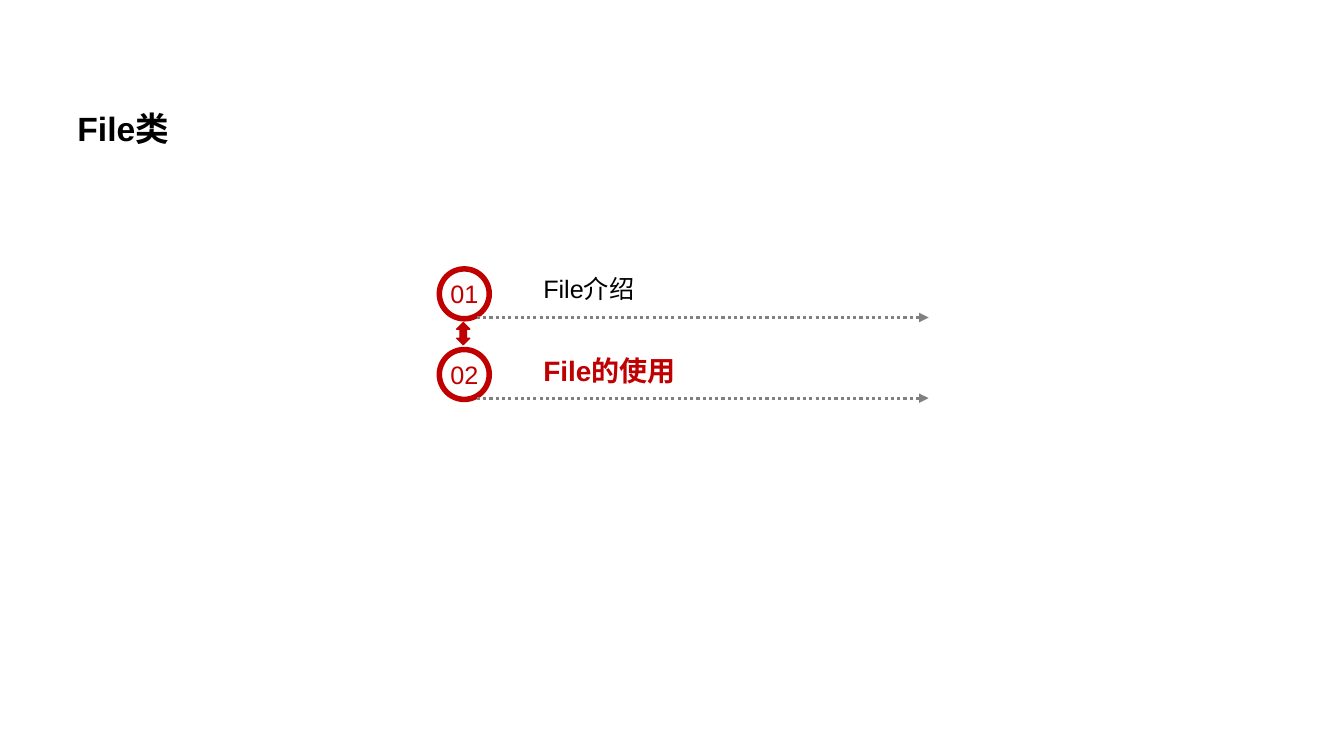
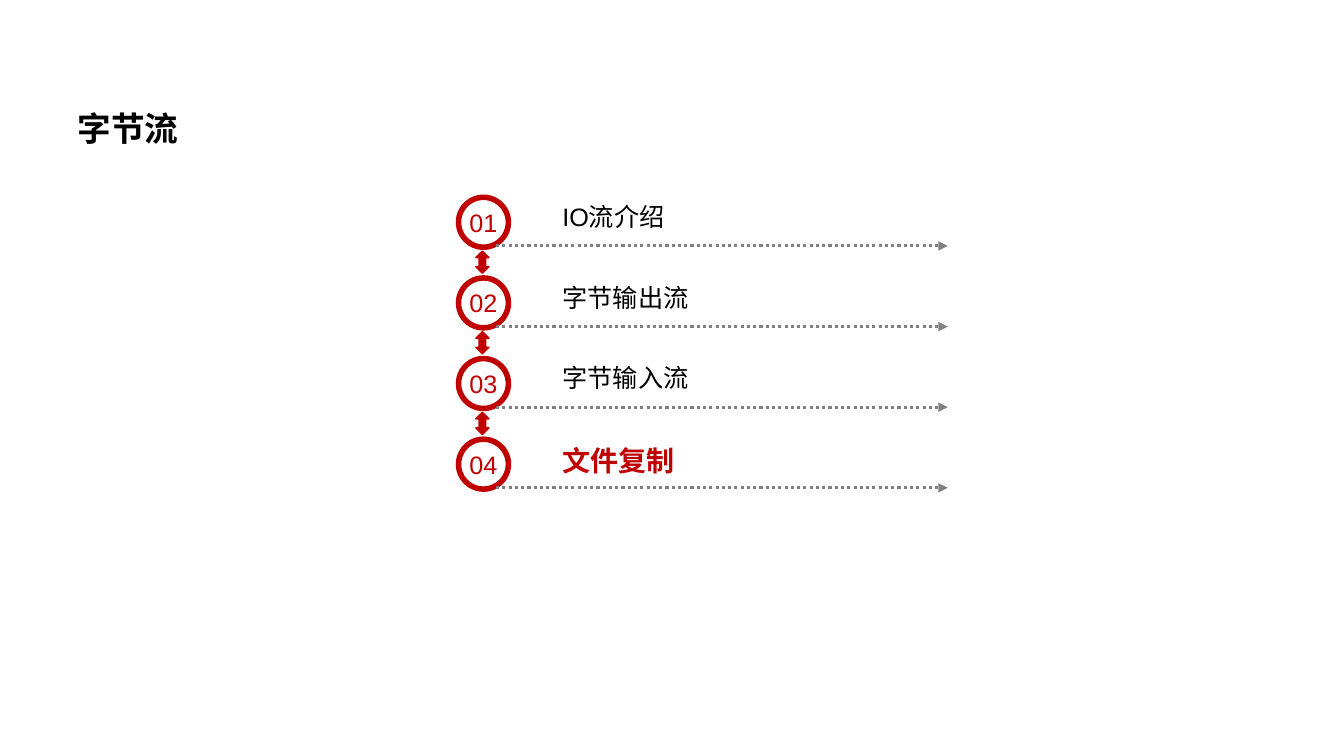
from lxml.etree import SubElement
from pptx import Presentation
from pptx.dml.color import RGBColor
from pptx.enum.dml import MSO_LINE
from pptx.enum.shapes import MSO_CONNECTOR, MSO_SHAPE
from pptx.enum.text import MSO_ANCHOR, PP_ALIGN
from pptx.oxml.ns import qn
from pptx.util import Inches, Pt

# Content: the last topic of each agenda is the current one
AGENDAS = [
    {"title": "File类", "left": 4.33, "top": 2.64,
     "topics": ["File介绍", "File的使用"]},
    {"title": "字节流", "left": 4.52, "top": 1.93,
     "topics": ["IO流介绍", "字节输出流", "字节输入流", "文件复制"]},
]

# Shared style
FONT = "Arial"
COLORS = {"accent": "C00000", "text": "000000", "rule": "808080", "back": "FFFFFF"}
RING, PITCH = 0.55, 0.8
ARROW_W, ARROW_H = 0.13, 0.22


def rgb(name):
    return RGBColor.from_string(COLORS[name])


def write(tf, text, size, color, bold=False):
    tf.text = text
    p = tf.paragraphs[0]
    font = p.runs[0].font
    font.name, font.size, font.bold = FONT, Pt(size), bold
    font.color.rgb = rgb(color)
    return p


def add_text(s, x, y, w, h, text, size, color, bold=False):
    tf = s.shapes.add_textbox(Inches(x), Inches(y), Inches(w), Inches(h)).text_frame
    tf.word_wrap = True
    return write(tf, text, size, color, bold)


def add_accent_shape(s, kind, x, y, w, h):
    sp = s.shapes.add_shape(kind, Inches(x), Inches(y), Inches(w), Inches(h))
    sp.shadow.inherit = False
    sp.fill.solid()
    sp.fill.fore_color.rgb = rgb("accent")
    return sp


def add_ring(s, x, y, number):
    sp = add_accent_shape(s, MSO_SHAPE.DONUT, x, y, RING, RING)
    sp.adjustments[0] = 0.1
    sp.line.fill.background()
    tf = sp.text_frame
    tf.margin_left = tf.margin_right = tf.margin_top = tf.margin_bottom = 0
    tf.word_wrap = False
    tf.vertical_anchor = MSO_ANCHOR.MIDDLE
    write(tf, f"{number:02}", 18, "accent").alignment = PP_ALIGN.CENTER


def add_link(s, x, y):
    sp = add_accent_shape(s, MSO_SHAPE.UP_DOWN_ARROW, x, y, ARROW_W, ARROW_H)
    sp.line.color.rgb = rgb("accent")
    sp.line.width = Pt(1)


def add_dotted_arrow(s, x1, x2, y):
    line = s.shapes.add_connector(
        MSO_CONNECTOR.STRAIGHT, Inches(x1), Inches(y), Inches(x2), Inches(y))
    line.line.color.rgb = rgb("rule")
    line.line.width = Pt(2.25)
    line.line.dash_style = MSO_LINE.ROUND_DOT
    SubElement(line.line._get_or_add_ln(), qn("a:tailEnd"), type="triangle")
    SubElement(line._element.spPr, qn("a:effectLst"))


def add_agenda(prs, title, left, top, topics):
    s = prs.slides.add_slide(prs.slide_layouts[6])
    s.background.fill.solid()
    s.background.fill.fore_color.rgb = rgb("back")
    add_text(s, 0.67, 0.82, 11.74, 1.11, title, 24, "text", True).line_spacing = 1.5

    for i, topic in enumerate(topics):
        y = top + i * PITCH
        current = i == len(topics) - 1
        add_ring(s, left, y, i + 1)
        add_dotted_arrow(s, left + 0.4, left + 4.88, y + 0.51)
        size, color = (20, "accent") if current else (18, "text")
        add_text(s, left + 0.96, y + 0.02, 3.96, 0.44, topic, size, color, current)
        if not current:
            add_link(s, left + 0.2, y + 0.56)


def main():
    prs = Presentation()
    prs.slide_width, prs.slide_height = Inches(13.33), Inches(7.5)
    for agenda in AGENDAS:
        add_agenda(prs, **agenda)
    prs.save("out.pptx")


if __name__ == "__main__":
    main()
